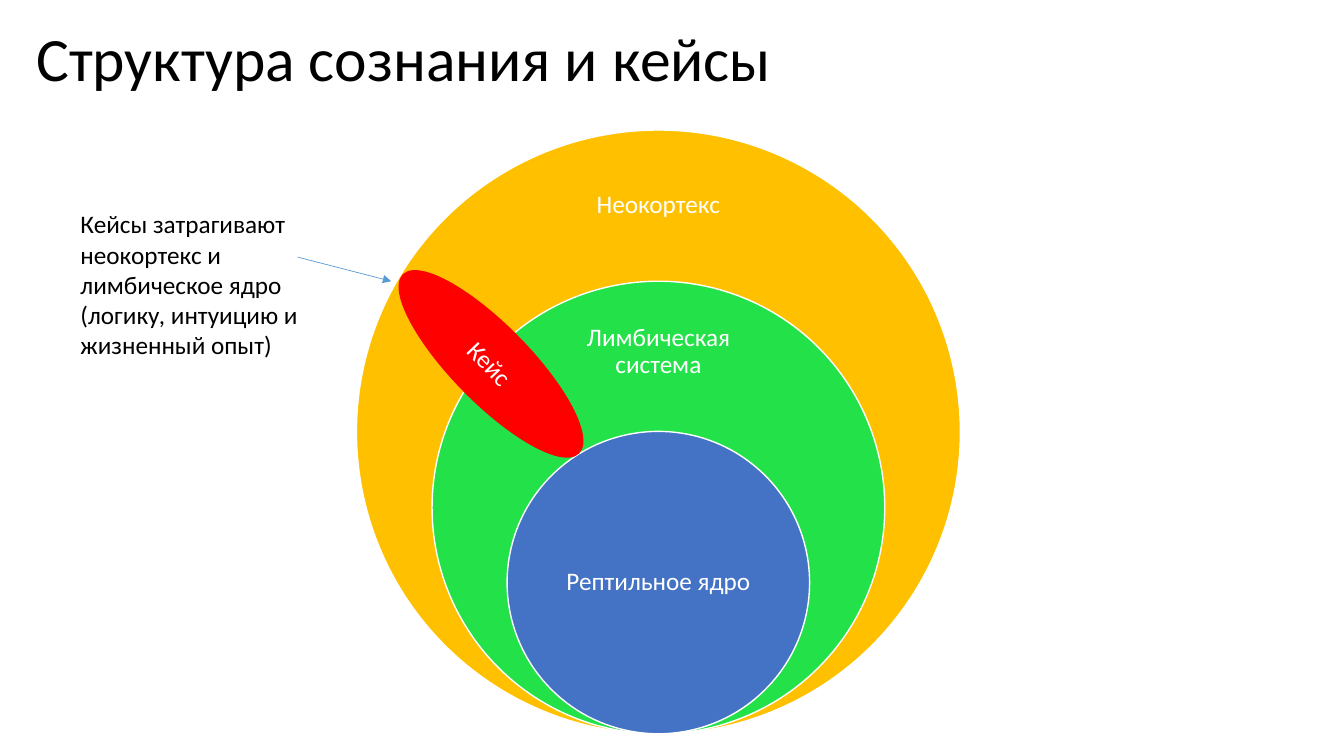
from dataclasses import dataclass

from lxml.etree import SubElement
from pptx import Presentation
from pptx.dml.color import RGBColor
from pptx.enum.shapes import MSO_CONNECTOR, MSO_SHAPE
from pptx.enum.text import MSO_ANCHOR, PP_ALIGN
from pptx.oxml.ns import qn
from pptx.util import Inches, Pt


@dataclass(frozen=True)
class Theme:
    """Fonts, type sizes and colours of the slide."""
    font: str = "Calibri"
    title_size: int = 44
    body_size: int = 18
    black: str = "000000"
    white: str = "FFFFFF"
    neocortex: str = "FFC000"
    limbic: str = "23E148"
    reptilian: str = "4472C4"
    case: str = "FF0000"
    arrow: str = "5B9BD5"


THEME = Theme()
CENTER_X = 6.53
CIRCLES_BOTTOM = 7.28
LAYERS = [
    ("Неокортекс", 5.99, THEME.neocortex, (2.09, 1.59, 0.9)),
    ("Лимбическая система", 4.49, THEME.limbic, (2.09, 3.07, 0.84)),
    ("Рептильное ядро", 3, THEME.reptilian, (2.12, 5.03, 1.5)),
]


def inches(*lengths):
    """Convert several lengths to Inches."""
    return [Inches(length) for length in lengths]


def format_text(text_frame, size, color, alignment=PP_ALIGN.LEFT, spacing=1.0):
    """Format every paragraph and run of a text frame."""
    for paragraph in text_frame.paragraphs:
        paragraph.alignment = alignment
        paragraph.line_spacing = spacing
        for run in paragraph.runs:
            run.font.name = THEME.font
            run.font.size = Pt(size)
            run.font.color.rgb = RGBColor.from_string(color)


def set_title(slide, text):
    """Place and fill the title placeholder."""
    title = slide.shapes.title
    title.left, title.top, title.width, title.height = inches(0.26, 0.21, 12.04, 0.81)
    title.text_frame.text = text
    title.text_frame.vertical_anchor = MSO_ANCHOR.MIDDLE
    format_text(title.text_frame, THEME.title_size, THEME.black, spacing=0.9)


def add_ellipse(shapes, box, fill, line, rotation=0):
    """Add a filled ellipse with a one-point outline."""
    shape = shapes.add_shape(MSO_SHAPE.OVAL, *inches(*box))
    shape.shadow.inherit = False
    shape.fill.solid()
    shape.fill.fore_color.rgb = RGBColor.from_string(fill)
    shape.line.color.rgb = RGBColor.from_string(line)
    shape.line.width = Pt(1)
    shape.rotation = rotation


def add_text(shapes, box, text, color, wrap=True, rotation=0):
    """Add a text box in body size and return it."""
    shape = shapes.add_textbox(*inches(*box))
    shape.rotation = rotation
    shape.text_frame.word_wrap = wrap
    shape.text_frame.text = text
    format_text(shape.text_frame, THEME.body_size, color)
    return shape


def add_layer(shapes, name, diameter, fill, label):
    """Add one nested circle with its centred label."""
    left = CENTER_X - diameter / 2
    add_ellipse(shapes, (left, CIRCLES_BOTTOM - diameter, diameter, diameter), fill, THEME.white)
    width, top, height = label
    box = (CENTER_X - width / 2, top, width, height)
    text_frame = add_text(shapes, box, name, THEME.white).text_frame
    text_frame.vertical_anchor = MSO_ANCHOR.MIDDLE
    text_frame.margin_left = text_frame.margin_right = Inches(0.14)
    text_frame.margin_top = text_frame.margin_bottom = Inches(0.14)
    format_text(text_frame, THEME.body_size, THEME.white, PP_ALIGN.CENTER, 0.9)


def add_arrow(shapes, start, end):
    """Add a thin line with a triangular head at its end."""
    connector = shapes.add_connector(MSO_CONNECTOR.STRAIGHT, *inches(*start, *end))
    connector.line.color.rgb = RGBColor.from_string(THEME.arrow)
    connector.line.width = Pt(0.5)
    SubElement(connector.line._get_or_add_ln(), qn("a:tailEnd"), type="triangle")
    SubElement(connector._element.spPr, qn("a:effectLst"))


def main():
    """Build the slide and save it."""
    presentation = Presentation()
    presentation.slide_width, presentation.slide_height = inches(13.33, 7.5)
    slide = presentation.slides.add_slide(presentation.slide_layouts[5])
    shapes = slide.shapes
    set_title(slide, "Структура сознания и кейсы")
    layer_group = shapes.add_group_shape()
    for layer in LAYERS:
        add_layer(layer_group.shapes, *layer)
    add_ellipse(shapes, (4.49, 2.37, 0.76, 2.48), THEME.case, THEME.case, 315.5)
    note = ("Кейсы затрагивают неокортекс и лимбическое ядро\n"
            "(логику, интуицию и жизненный опыт)")
    add_text(shapes, (0.7, 2.02, 2.86, 1.62), note, THEME.black)
    add_arrow(shapes, (2.95, 2.55), (3.88, 2.79))
    add_text(shapes, (4.51, 3.41, 0.71, 0.4), "Кейс", THEME.white, wrap=False, rotation=46.2)
    presentation.save("out.pptx")


if __name__ == "__main__":
    main()
